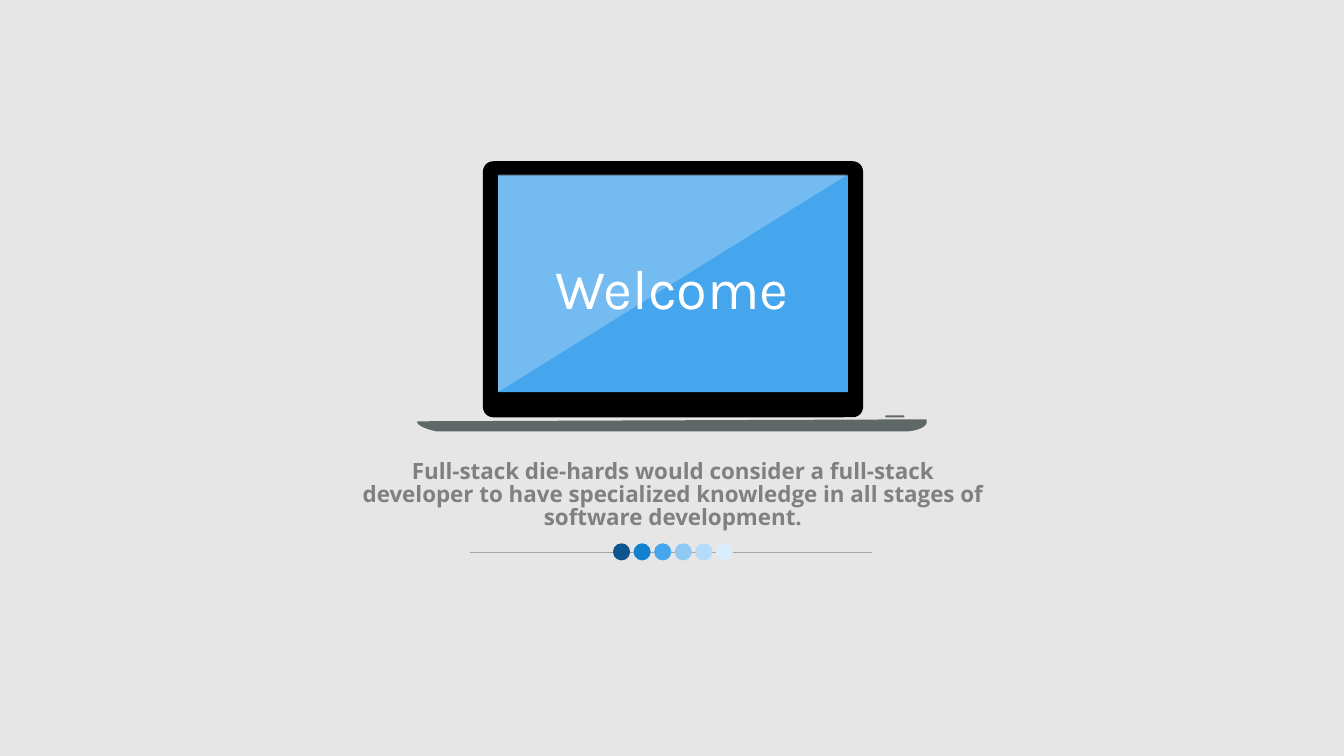
"""Build a welcome slide with a laptop, a statement and a row of blue dots."""
from lxml.etree import SubElement
from pptx import Presentation
from pptx.dml.color import RGBColor
from pptx.enum.shapes import MSO_CONNECTOR, MSO_SHAPE
from pptx.enum.text import MSO_ANCHOR, MSO_AUTO_SIZE, PP_ALIGN
from pptx.oxml.ns import qn
from pptx.util import Inches, Pt

THEME = {
    "background": "E6E6E6", "lid": "000000", "screen": "45A5ED",
    "base": "5F6767", "white": "FFFFFF", "statement": "808080", "rule": "A6A6A6",
    "dots": ["0D558C", "1480D1", "45A5ED", "8FC9F4", "B5DBF8", "DAEDFB"],
    "title_font": "Karla", "title_size": Pt(40),
    "body_font": "Open Sans", "body_size": Pt(16),
}


def paint(part, color):
    part.shadow.inherit = False
    part.fill.solid()
    part.fill.fore_color.rgb = RGBColor.from_string(color)
    part.line.fill.background()


def curve(start, control_1, control_2, end, steps=12):
    return [
        tuple(Inches((1 - t) ** 3 * a + 3 * (1 - t) ** 2 * t * b + 3 * (1 - t) * t ** 2 * c + t ** 3 * d)
              for a, b, c, d in zip(start, control_1, control_2, end))
        for t in (step / steps for step in range(steps + 1))
    ]


deck = Presentation()
deck.slide_width, deck.slide_height = Inches(13.33), Inches(7.5)
slide = deck.slides.add_slide(deck.slide_layouts[0])
slide.background.fill.solid()
slide.background.fill.fore_color.rgb = RGBColor.from_string(THEME["background"])

laptop = slide.shapes.add_group_shape().shapes
for preset, box, color, rounding in [
    (MSO_SHAPE.ROUNDED_RECTANGLE, (4.79, 1.6, 3.77, 2.54), "lid", 0.04),
    (MSO_SHAPE.RECTANGLE, (4.94, 1.74, 3.47, 2.15), "screen", None),
    (MSO_SHAPE.ROUNDED_RECTANGLE, (8.78, 4.12, 0.19, 0.02), "base", 0.5),
]:
    panel = laptop.add_shape(preset, *map(Inches, box))
    paint(panel, THEME[color])
    if rounding:
        panel.adjustments[0] = rounding

left_edge = curve((4.14, 4.18), (4.14, 4.18), (4.11, 4.23), (4.33, 4.28))
right_edge = curve((9, 4.28), (9, 4.28), (9.16, 4.27), (9.19, 4.2))
base_outline = left_edge + right_edge + [(Inches(9.19), Inches(4.16))]
glare_outline = [(Inches(x), Inches(y)) for x, y in [(8.41, 1.73), (4.94, 1.73), (4.94, 3.89)]]
for outline, color, opacity in [(base_outline, "base", 100), (glare_outline, "white", 25)]:
    builder = laptop.build_freeform(*outline[0])
    builder.add_line_segments(outline[1:], close=True)
    surface = builder.convert_to_shape()
    paint(surface, THEME[color])
    if opacity < 100:
        tint = surface.element.spPr.find(qn("a:solidFill"))[0]
        SubElement(tint, qn("a:alpha")).set("val", str(opacity * 1000))

welcome, statement = slide.shapes.title, slide.placeholders[1]
for holder, wording, box, paragraph_format, font_format, color in [
    (welcome, "Welcome", (4.7, 2.59, 3.93, 0.45),
     {"line_spacing": 0.9, "space_after": Pt(0)},
     {"name": THEME["title_font"], "size": THEME["title_size"], "bold": False}, "white"),
    (statement,
     "Full-stack die-hards would consider a full-stack developer to have "
     "specialized knowledge in all stages of software development.",
     (3.53, 4.57, 6.29, 0.97),
     {"line_spacing": Pt(16.5), "space_after": Pt(15)},
     {"name": THEME["body_font"], "size": THEME["body_size"], "bold": True}, "statement"),
]:
    holder.left, holder.top, holder.width, holder.height = map(Inches, box)
    frame = holder.text_frame
    frame.text = wording
    paragraph = frame.paragraphs[0]
    run_font = paragraph.runs[0].font
    frame_format = {
        "margin_left": 0, "margin_top": 0, "margin_right": 0, "margin_bottom": 0,
        "word_wrap": True, "auto_size": MSO_AUTO_SIZE.NONE, "vertical_anchor": MSO_ANCHOR.TOP,
    }
    paragraph_format = {"alignment": PP_ALIGN.CENTER, "space_before": Pt(0), **paragraph_format}
    for target, values in [(frame, frame_format), (paragraph, paragraph_format), (run_font, font_format)]:
        for attribute, value in values.items():
            setattr(target, attribute, value)
    run_font.color.rgb = RGBColor.from_string(THEME[color])
    slide.shapes.element.append(holder.element)

divider = slide.shapes.add_group_shape().shapes
rule = divider.add_connector(MSO_CONNECTOR.STRAIGHT, Inches(4.66), Inches(5.48), Inches(8.65), Inches(5.48))
rule.line.color.rgb = RGBColor.from_string(THEME["rule"])
rule.line.width = Pt(0.75)
SubElement(rule.element.spPr, qn("a:effectLst"))

dot_pitch = 1.02 / (len(THEME["dots"]) - 1)
for index, color in enumerate(THEME["dots"]):
    dot = divider.add_shape(
        MSO_SHAPE.OVAL, Inches(6.08 + index * dot_pitch), Inches(5.39), Inches(0.17), Inches(0.17))
    paint(dot, color)

deck.save("out.pptx")
